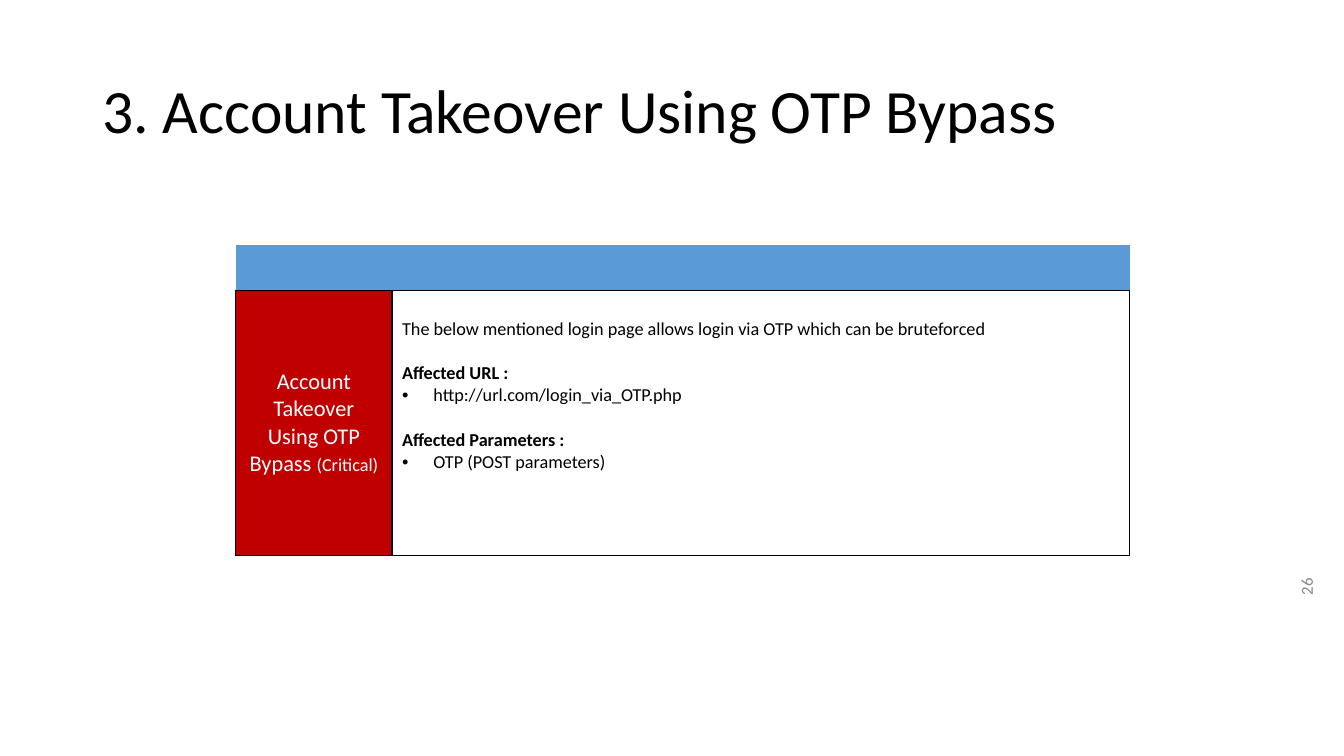
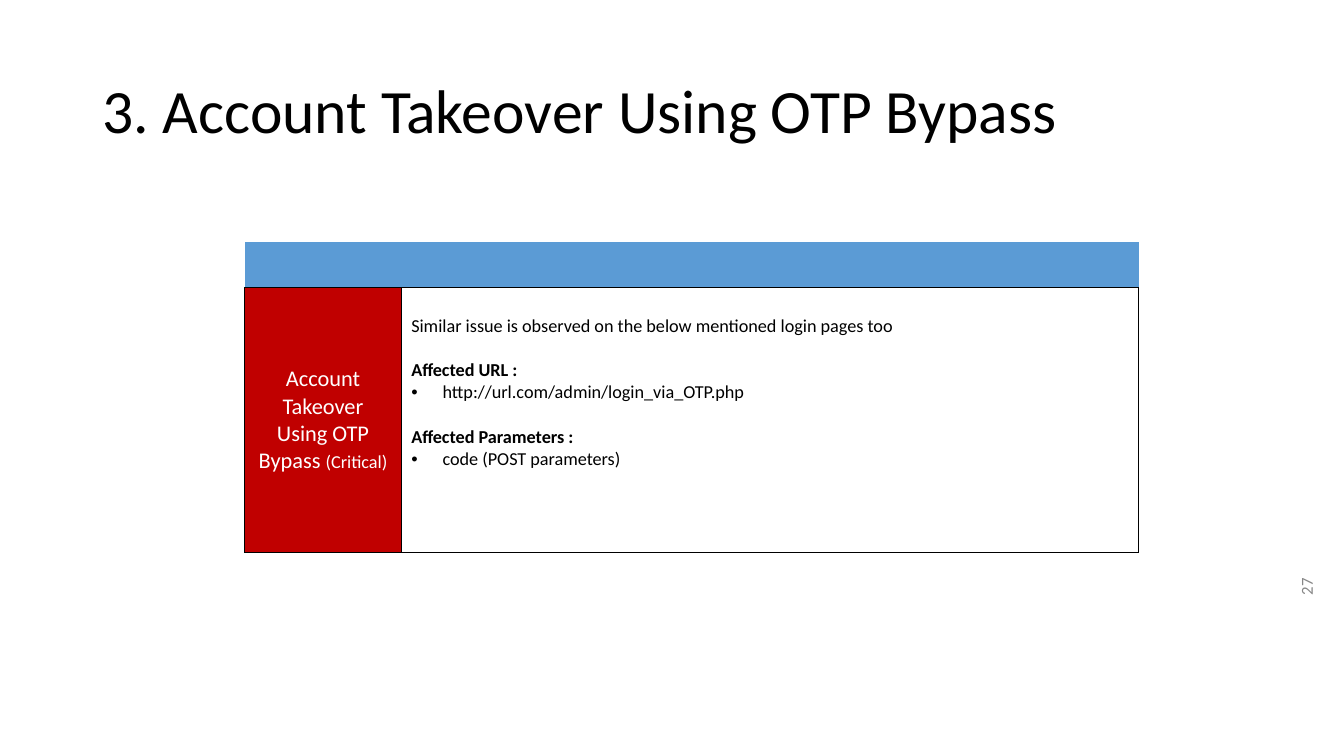
import pptx
import pptx.dml.color
import pptx.enum.text
import pptx.oxml
import pptx.oxml.ns
import pptx.util
from pptx.util import Cm

BLACK = pptx.dml.color.RGBColor(0x00, 0x00, 0x00)
WHITE = pptx.dml.color.RGBColor(0xFF, 0xFF, 0xFF)
GREY = pptx.dml.color.RGBColor(0x88, 0x88, 0x88)
HEADER_BLUE = pptx.dml.color.RGBColor(0x5B, 0x9B, 0xD5)
CRITICAL_RED = pptx.dml.color.RGBColor(0xC0, 0x00, 0x00)

FONT = "Calibri"
TITLE_SIZE, NAME_SIZE, BODY_SIZE, NUMBER_SIZE = 44, 16, 13, 12
BLANK_LINE = 15.9
TITLE = "3. Account Takeover Using OTP Bypass"
FINDING = "Account Takeover Using OTP Bypass "
SEVERITY = "(Critical)"
COLUMN_WIDTHS = (Cm(3.94), Cm(18.59))
ROW_HEIGHTS = (Cm(1.15), Cm(6.68))
ALL_SIDES = ("L", "R", "T", "B")

ALIGN = pptx.enum.text.PP_ALIGN
ANCHOR = pptx.enum.text.MSO_ANCHOR


def add_run(paragraph, text, size, color=BLACK, bold=False):
    run = paragraph.add_run()
    run.text = text
    run.font.name = FONT
    run.font.size = pptx.util.Pt(size)
    run.font.bold = bold
    run.font.color.rgb = color


def add_text_box(slide, box, text, size, color=BLACK, align=ALIGN.LEFT):
    shape = slide.shapes.add_textbox(*box)
    frame = shape.text_frame
    frame.word_wrap = True
    frame.vertical_anchor = ANCHOR.MIDDLE
    paragraph = frame.paragraphs[0]
    paragraph.alignment = align
    add_run(paragraph, text, size, color)
    return shape


def add_title(slide):
    box = (Cm(2.33), Cm(1.01), Cm(29.21), Cm(3.68))
    shape = add_text_box(slide, box, TITLE, TITLE_SIZE)
    shape.text_frame.paragraphs[0].line_spacing = 0.9


def add_page_number(slide, number):
    box = (Cm(31.09), Cm(15.52), Cm(3.66), Cm(1.27))
    shape = add_text_box(slide, box, str(number), NUMBER_SIZE, GREY, ALIGN.RIGHT)
    shape.rotation = 270


def style_cell(cell, fill, black_sides):
    properties = cell._tc.get_or_add_tcPr()
    namespace = pptx.oxml.ns.nsdecls("a")
    for side in ALL_SIDES:
        paint = "<a:noFill/>"
        if side in black_sides:
            paint = f'<a:solidFill><a:srgbClr val="{BLACK}"/></a:solidFill>'
        properties.append(pptx.oxml.parse_xml(
            f'<a:ln{side} {namespace} w="12700">{paint}</a:ln{side}>'))
    cell.fill.solid()
    cell.fill.fore_color.rgb = fill


def add_bullet(paragraph):
    properties = paragraph._p.get_or_add_pPr()
    properties.set("marL", str(Cm(0.79)))
    properties.set("indent", str(-Cm(0.79)))
    namespace = pptx.oxml.ns.nsdecls("a")
    properties.append(pptx.oxml.parse_xml(
        f'<a:buFont {namespace} typeface="Arial"/>'))
    properties.append(pptx.oxml.parse_xml(f'<a:buChar {namespace} char="•"/>'))


def fill_name_cell(cell):
    cell.vertical_anchor = ANCHOR.MIDDLE
    paragraph = cell.text_frame.paragraphs[0]
    paragraph.alignment = ALIGN.CENTER
    add_run(paragraph, FINDING, NAME_SIZE, WHITE)
    add_run(paragraph, SEVERITY, BODY_SIZE, WHITE)


def fill_detail_cell(cell, summary, sections):
    cell.margin_top = Cm(0.69)
    frame = cell.text_frame
    add_run(frame.paragraphs[0], summary, BODY_SIZE)
    for heading, item in sections:
        paragraph = frame.add_paragraph()
        paragraph.space_before = pptx.util.Pt(BLANK_LINE)
        add_run(paragraph, heading, BODY_SIZE, bold=True)
        paragraph = frame.add_paragraph()
        add_bullet(paragraph)
        add_run(paragraph, item, BODY_SIZE)


def add_finding_table(slide, left, top, summary, sections):
    frame = slide.shapes.add_table(
        2, 2, left, top, sum(COLUMN_WIDTHS), sum(ROW_HEIGHTS))
    table = frame.table
    table.horz_banding = False
    for column, width in zip(table.columns, COLUMN_WIDTHS):
        column.width = width
    for row, height in zip(table.rows, ROW_HEIGHTS):
        row.height = height
    for column in range(2):
        style_cell(table.cell(0, column), HEADER_BLUE, ("B",))
    for column, fill in enumerate((CRITICAL_RED, WHITE)):
        style_cell(table.cell(1, column), fill, ALL_SIDES)
    fill_name_cell(table.cell(1, 0))
    fill_detail_cell(table.cell(1, 1), summary, sections)


def add_finding_slide(presentation, number, left, top, summary, url, parameter):
    slide = presentation.slides.add_slide(presentation.slide_layouts[6])
    add_page_number(slide, number)
    add_title(slide)
    sections = (("Affected URL :", url), ("Affected Parameters :", parameter))
    add_finding_table(slide, left, top, summary, sections)


def main():
    presentation = pptx.Presentation()
    presentation.slide_width = Cm(33.87)
    presentation.slide_height = Cm(19.05)
    add_finding_slide(
        presentation, 26, Cm(5.94), Cm(6.17),
        "The below mentioned login page allows login via OTP which can be bruteforced",
        "http://url.com/login_via_OTP.php", "OTP (POST parameters)")
    add_finding_slide(
        presentation, 27, Cm(6.17), Cm(6.1),
        "Similar issue is observed on the below mentioned login pages too",
        "http://url.com/admin/login_via_OTP.php", "code (POST parameters)")
    presentation.save("out.pptx")


if __name__ == "__main__":
    main()
